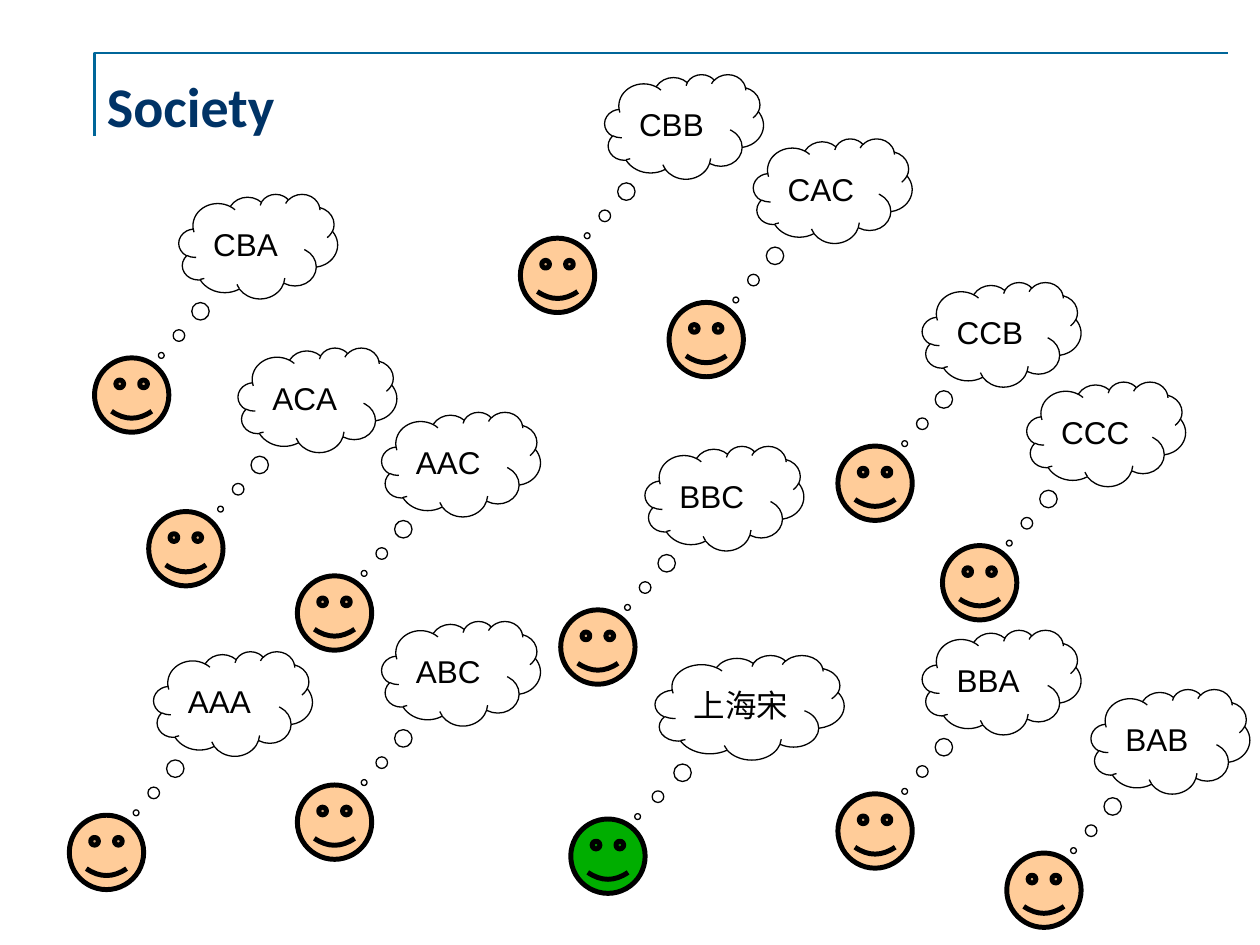
from lxml import etree
from pptx import Presentation
from pptx import util as u
from pptx.dml.color import RGBColor
from pptx.enum import shapes, text
from pptx.oxml.ns import qn

COLORS = {
    "rule": "006699",
    "title": "003366",
    "ink": "000000",
    "skin": "FFCC99",
    "green": "00AE00",
}
FACE = 0.59
CLOUD_DX, CLOUD_DY = 0.67, -1.3
CLOUD_W, CLOUD_H = 1.26, 0.83
PEOPLE = [
    ("ABC", 2.36, 6.23),
    ("ACA", 1.18, 4.06),
    ("AAC", 2.36, 4.57),
    ("CCC", 7.48, 4.33),
    ("BBC", 4.45, 4.84),
    ("CBB", 4.13, 1.89),
    ("CAC", 5.31, 2.4),
    ("BBA", 6.65, 6.3),
    ("CCB", 6.65, 3.54),
    ("CBA", 0.75, 2.84),
    ("AAA", 0.55, 6.47),
    ("BAB", 7.99, 6.77),
]


def rgb(name):
    """Return the named colour."""
    return RGBColor.from_string(COLORS[name])


def style(sp, line, width, fill=None):
    """Set outline and fill, and drop the shadow."""
    sp.shadow.inherit = False
    sp.line.color.rgb = rgb(line)
    sp.line.width = u.Pt(width)
    if fill:
        sp.fill.solid()
        sp.fill.fore_color.rgb = rgb(fill)
    else:
        sp.fill.background()


def write(sp, words, font, size, color, bold=False):
    """Write one left-aligned, vertically centred paragraph."""
    tf = sp.text_frame
    tf.word_wrap = True
    tf.vertical_anchor = text.MSO_ANCHOR.MIDDLE
    p = tf.paragraphs[0]
    p.alignment = text.PP_ALIGN.LEFT
    r = p.add_run()
    r.text = words
    r.font.name, r.font.size, r.font.bold = font, u.Pt(size), bold
    r.font.color.rgb = rgb(color)
    if not words.isascii():
        etree.SubElement(r.font._element, qn("a:ea"), typeface=font)


def add_title(s, words):
    """Add the corner rule and the slide title."""
    builder = s.shapes.build_freeform(u.Inches(0.75), u.Inches(1.08))
    corner = [(u.Inches(0.75), u.Inches(0.42)), (u.Inches(9.75), u.Inches(0.42))]
    builder.add_line_segments(corner, close=False)
    style(builder.convert_to_shape(), "rule", 1.5)
    box = s.shapes.add_textbox(*map(u.Inches, (0.75, 0.42, 8.92, 0.83)))
    write(box, words, "Calibri", 32, "title", bold=True)


def add_person(s, thought, x, y, skin="skin", dx=CLOUD_DX, width=CLOUD_W,
               tail=-0.611, font="Arial"):
    """Add a smiling face with its thought cloud."""
    face = s.shapes.add_shape(shapes.MSO_SHAPE.SMILEY_FACE,
                              *map(u.Inches, (x, y, FACE, FACE)))
    face.adjustments[0] = 0.093
    style(face, "ink", 2.83, skin)
    cloud = s.shapes.add_shape(shapes.MSO_SHAPE.CLOUD_CALLOUT,
                               *map(u.Inches, (x + dx, y + CLOUD_DY, width, CLOUD_H)))
    cloud.adjustments[0], cloud.adjustments[1] = tail, 1.044
    style(cloud, "ink", 0.75)
    write(cloud, thought, font, 18, "ink")


def main():
    """Build the slide and save it."""
    prs = Presentation()
    prs.slide_width, prs.slide_height = u.Inches(10), u.Inches(7.5)
    s = prs.slides.add_slide(prs.slide_layouts[6])
    add_title(s, "Society")
    add_person(s, "上海宋", 4.53, 6.5, skin="green", width=1.5,
               tail=-0.593, font="Noto Sans CJK SC")
    for thought, x, y in PEOPLE:
        dx = 0.71 if thought == "ACA" else CLOUD_DX
        add_person(s, thought, x, y, dx=dx)
    prs.save("out.pptx")


if __name__ == "__main__":
    main()
